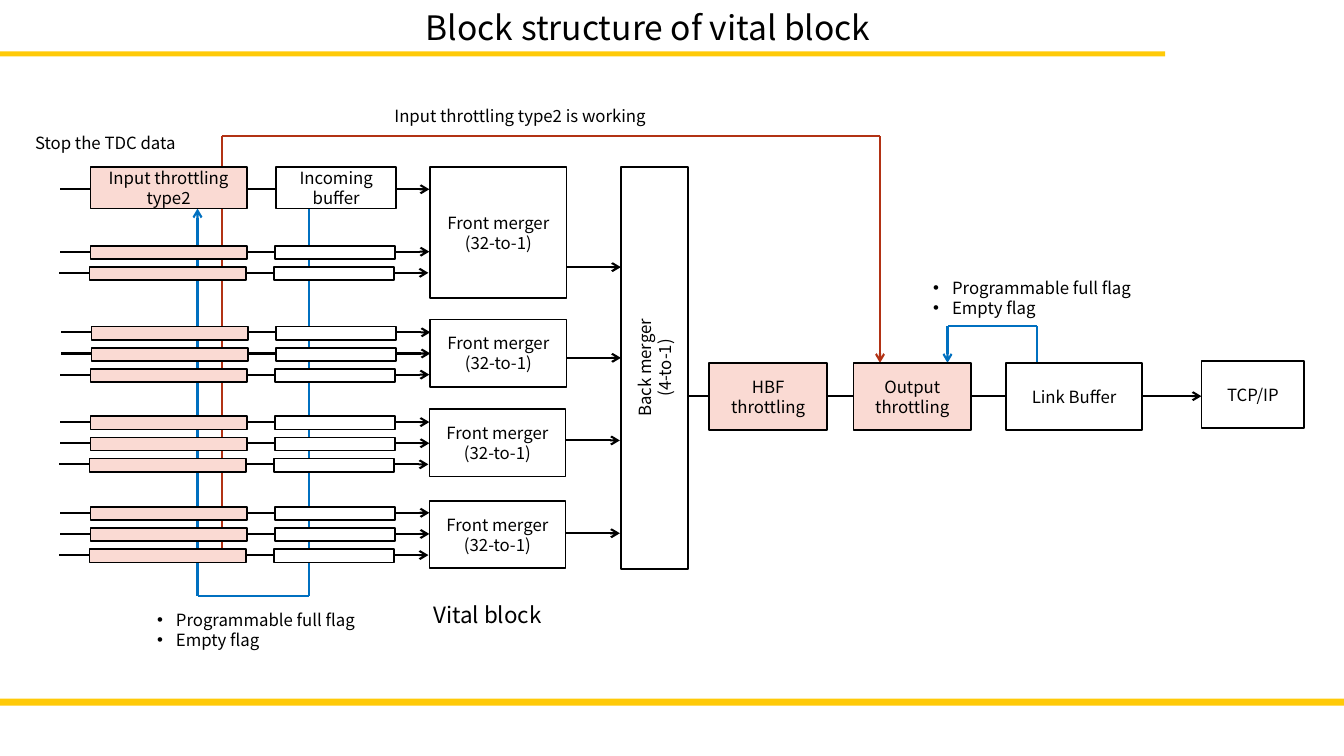
from lxml import etree
from pptx import Presentation
from pptx.dml.color import RGBColor
from pptx.enum import shapes, text
from pptx.oxml import ns
from pptx.util import Pt

COLORS = {"ink": "000000", "white": "FFFFFF", "pink": "FADAD3",
          "gold": "FFCA08", "red": "B23214", "blue": "0070C0"}
FONT = "Noto Sans CJK JP"
CENTER, LEFT = text.PP_ALIGN.CENTER, text.PP_ALIGN.LEFT

TITLE = ("Block structure of vital block", (208, 1.5, 510, 36))
RULES = [(0, 499, 960, 5), (0, 36.7, 832.3, 3.6)]

FLAGS = ["Programmable full flag", "Empty flag"]
LABELS = [
    (["Vital block"], (302.4, 425.5, 107.3, 26.6), 16, LEFT, False),
    (["Stop the TDC data"], (9.4, 91.4, 131.8, 21.6), 12, CENTER, False),
    (["Input throttling type2 is working"], (261.4, 72, 220.3, 21.6), 12, CENTER, False),
    (FLAGS, (105.1, 432, 170.6, 36), 12, LEFT, True),
    (FLAGS, (659.5, 194.6, 175, 36), 12, LEFT, True),
]

FRONT_MERGER = ["Front merger", "(32-to-1)"]
MERGERS = [(307.4, 119.5, 93.6, 190.8), (307.4, 228.2, 48.2, 255.6),
           (306.7, 292.3, 48.2, 314.6), (306.7, 357.8, 48.2, 380.9)]
MERGER_WIDTH, MERGER_GAP = 97.2, 38.9
BACK_MERGER = (["Back merger", "(4-to-1)"], (324, 238.6, 287.3, 48.2))
STAGES = [
    (["Link Buffer"], (718.6, 259.2, 97.2, 48.2), "white"),
    (["TCP/IP"], (858.2, 257.8, 73.4, 48.2), "white"),
    (["Output", "throttling"], (609.6, 259.2, 84.2, 48.2), "pink"),
    (["HBF", "throttling"], (506.6, 259.2, 84.2, 48.2), "pink"),
    (["Input throttling", "type2"], (64.6, 119.5, 111.6, 29.5), "pink"),
    (["Incoming", "buffer"], (197.3, 119.5, 85.7, 29.5), "white"),
]

LANE_GROUPS = [(175.7, 2, 0), (233.3, 3, 0.7), (297.4, 3, 0), (362.2, 3, 0)]
LANE_STEP, LANE_HEIGHT, LAST_LANE_SHIFT = 15.1, 9.4, -0.7
LANE_ARROW = (43.2, 306.7)
LANE_BARS = [(64.6, 111.6, "pink"), (196.6, 85.7, "white")]

BACK_ROUTES = [
    ("red", [(158.4, 400.3), (158.4, 97.2), (628.6, 97.2), (628.6, 259.2)]),
    ("blue", [(220.5, 149), (220.5, 425.5), (141.1, 425.5), (141.1, 149)]),
    ("ink", [(43.2, 135.2), (306.7, 135.2)]),
    ("ink", [(491.8, 283), (858.2, 283)]),
    ("blue", [(740.9, 259.2), (740.9, 233.1), (676.8, 233.1), (676.8, 259.2)]),
]

deck = Presentation()
deck.slide_width, deck.slide_height = Pt(960), Pt(540)
slide = deck.slides.add_slide(deck.slide_layouts[5])


def color(name):
    return RGBColor.from_string(COLORS[name])


def write(frame, lines, size, align, anchor, bullets=False):
    settings = {"word_wrap": True, "vertical_anchor": anchor,
                "auto_size": text.MSO_AUTO_SIZE.NONE,
                "margin_left": Pt(7.2), "margin_right": Pt(7.2),
                "margin_top": Pt(3.6), "margin_bottom": Pt(3.6)}
    for key, value in settings.items():
        setattr(frame, key, value)
    frame.text = "\n".join(lines)
    for paragraph in frame.paragraphs:
        paragraph.alignment = align
        for key, value in {"size": Pt(size), "name": FONT}.items():
            setattr(paragraph.font, key, value)
        paragraph.font.color.rgb = color("ink")
        if bullets:
            props = paragraph._p.get_or_add_pPr()
            props.set("marL", str(Pt(13.5)))
            props.set("indent", str(-Pt(13.5)))
            for tag, key, value in (("a:buFont", "typeface", "Arial"),
                                    ("a:buChar", "char", "•")):
                bullet = etree.Element(ns.qn(tag), {key: value})
                props.insert_element_before(bullet, "a:tabLst", "a:defRPr", "a:extLst")


def block(bounds, fill, lines=(), outline="ink"):
    box = slide.shapes.add_shape(shapes.MSO_SHAPE.RECTANGLE, *map(Pt, bounds))
    box.shadow.inherit = False
    box.fill.solid()
    box.fill.fore_color.rgb = color(fill)
    if outline:
        box.line.color.rgb = color(outline)
        box.line.width = Pt(1.25)
    else:
        box.line.fill.background()
    if lines:
        write(box.text_frame, lines, 12, CENTER, text.MSO_ANCHOR.MIDDLE)
    return box


def route(line_color, points):
    for start, end in zip(points, points[1:]):
        wire = slide.shapes.add_connector(
            shapes.MSO_CONNECTOR.STRAIGHT, *map(Pt, start + end))
        wire.line.color.rgb = color(line_color)
        wire.line.width = Pt(1.5)
        etree.SubElement(wire._element.spPr, ns.qn("a:effectLst"))
    etree.SubElement(wire.line._get_or_add_ln(), ns.qn("a:tailEnd"), type="arrow")


for rule in RULES:
    block(rule, "gold", outline=None)

heading, bounds = TITLE
title = slide.shapes.title
for key, value in zip(("left", "top", "width", "height"), bounds):
    setattr(title, key, Pt(value))
write(title.text_frame, [heading], 24, CENTER, text.MSO_ANCHOR.TOP)

for line_color, points in BACK_ROUTES:
    route(line_color, points)

for left, top, height, exit_y in MERGERS:
    block((left, top, MERGER_WIDTH, height), "white", FRONT_MERGER)
    right = left + MERGER_WIDTH
    route("ink", [(right, exit_y), (right + MERGER_GAP, exit_y)])

lines, bounds = BACK_MERGER
block(bounds, "white", lines).rotation = 270
for lines, bounds, fill in STAGES:
    block(bounds, fill, lines)

for first_top, count, group_shift in LANE_GROUPS:
    for lane in range(count):
        top = first_top + lane * LANE_STEP
        shift = group_shift + (LAST_LANE_SHIFT if lane == count - 1 else 0)
        arrow_y = top + 4.1
        route("ink", [(x + shift, arrow_y) for x in LANE_ARROW])
        for left, width, fill in LANE_BARS:
            block((left + shift, top, width, LANE_HEIGHT), fill)

for lines, bounds, size, align, bullets in LABELS:
    label = slide.shapes.add_textbox(*map(Pt, bounds))
    write(label.text_frame, lines, size, align, text.MSO_ANCHOR.TOP, bullets)

deck.save("out.pptx")
